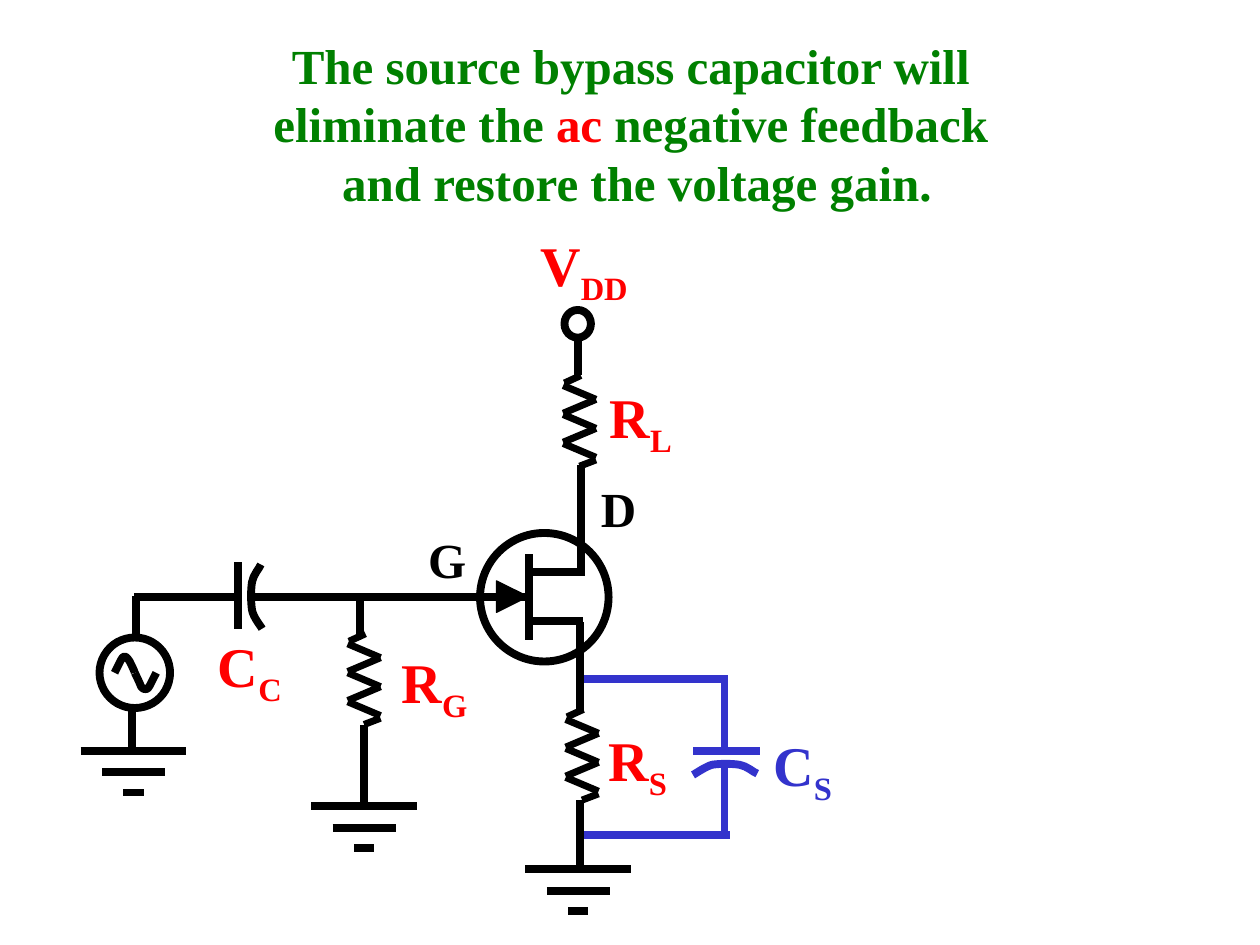
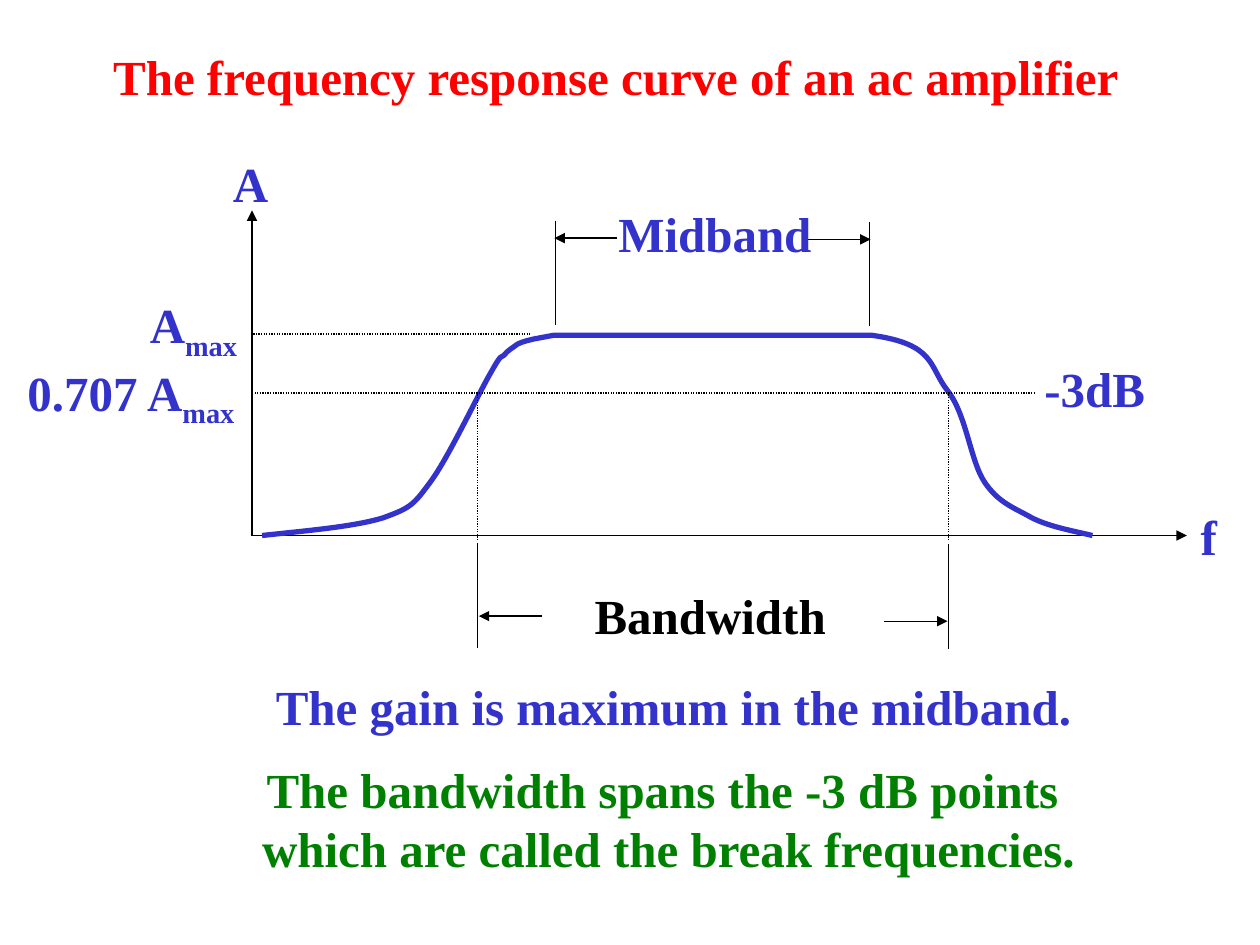
from pptx import Presentation
from pptx.dml.color import RGBColor
from pptx.enum.dml import MSO_LINE
from pptx.enum.shapes import MSO_CONNECTOR, MSO_SHAPE
from pptx.enum.text import MSO_AUTO_SIZE, PP_ALIGN
from pptx.oxml.ns import qn
from pptx.util import Pt
from lxml import etree

PX = 9144
BLACK, BLUE, RED, GREEN = "000000", "3333CC", "FF0000", "008000"
FONT = {"name": "Times New Roman", "bold": True}
FRAME = {"word_wrap": False, "auto_size": MSO_AUTO_SIZE.SHAPE_TO_FIT_TEXT}
THICK, ZIG, THIN = 4.5, 4, 0.75


def color(text):
    """Turn a hex string into a colour."""
    return RGBColor.from_string(text)


def assign(item, values):
    """Set attributes of an item from a dict."""
    for name, value in values.items():
        setattr(item, name, value)


def stroke(shape, hue, width):
    """Set the colour and width of an outline."""
    shape.line.color.rgb = color(hue)
    shape.line.width = Pt(width)


def line(slide, x1, y1, x2, y2, hue=BLACK, width=THICK, arrow=False, dots=False):
    """Draw a straight line, with an arrowhead or dots if asked."""
    ends = [value * PX for value in (x1, y1, x2, y2)]
    wire = slide.shapes.add_connector(MSO_CONNECTOR.STRAIGHT, *ends)
    stroke(wire, hue, width)
    if dots:
        wire.line.dash_style = MSO_LINE.ROUND_DOT
    if arrow:
        etree.SubElement(wire.line._get_or_add_ln(), qn("a:tailEnd"), type="triangle")
    etree.SubElement(wire._element.spPr, qn("a:effectLst"))


def lines(slide, rows, **style):
    """Draw several lines of one style."""
    for row in rows:
        line(slide, *row, **style)


def shape(slide, kind, x, y, w, h, fill=None, width=THICK):
    """Draw a preset shape with a black outline."""
    item = slide.shapes.add_shape(kind, x * PX, y * PX, w * PX, h * PX)
    item.shadow.inherit = False
    if fill:
        item.fill.solid()
        item.fill.fore_color.rgb = color(fill)
    else:
        item.fill.background()
    stroke(item, BLACK, width)
    return item


def curve(slide, start, rows, hue=BLACK, width=THICK):
    """Draw an open path: rows of three points bend, rows of one are straight."""
    pen = slide.shapes.build_freeform(*start, scale=PX)
    pen.add_line_segments([spot for row in rows for spot in row], close=False)
    item = pen.convert_to_shape()
    item.shadow.inherit = False
    item.fill.background()
    stroke(item, hue, width)
    steps = iter(list(item._element.iter(qn("a:lnTo"))))
    for row in rows:
        first, *rest = [next(steps) for _ in row]
        if rest:
            first.tag = qn("a:cubicBezTo")
        for step in rest:
            first.append(step[0])
            step.getparent().remove(step)


def text(slide, x, y, w, h, rows, hue, size=28, align=PP_ALIGN.LEFT):
    """Write paragraphs of (words, extra format) runs."""
    box = slide.shapes.add_textbox(x * PX, y * PX, w * PX, h * PX)
    frame = box.text_frame
    assign(frame, FRAME)
    for i, row in enumerate(rows):
        para = frame.add_paragraph() if i else frame.paragraphs[0]
        para.alignment = align
        for words, extra in row:
            run = para.add_run()
            run.text = words
            assign(run.font, {**FONT, "size": Pt(size)})
            run.font.color.rgb = color(extra.get("hue", hue))
            if "base" in extra:
                run.font._element.set("baseline", extra["base"])


def label(slide, x, y, w, h, words, sub="", hue=BLUE, size=28):
    """Write one line, with a subscript if given."""
    runs = [(words, {})]
    if sub:
        runs.append((sub, {"base": "-25000"}))
    text(slide, x, y, w, h, [runs], hue, size)


def resist(slide, x, y):
    """Draw a zigzag resistor from its top left corner."""
    zigs = [(x + 26, y + 19 + 23 * i, x, y + 8 + 23 * i) for i in range(3)]
    zags = [(x, y + 30 + 23 * i, x + 26, y + 19 + 23 * i) for i in range(2)]
    ends = [(x + 1, y + 6, x + 14, y), (x + 13, y + 72, x + 26, y + 67)]
    lines(slide, zigs + zags + ends, width=ZIG)


def ground(slide, x, y):
    """Draw three shrinking bars of a ground symbol."""
    for i in range(3):
        top = y + round(16.6 * i)
        line(slide, x + 17 * i, top, x + 84 - 17 * i, top)


def span(slide, left, right, top, tips):
    """Mark a range with two posts and two outward arrows."""
    lines(slide, [(left, top, left, top + 83), (right, top + 1, right, top + 84)],
          width=THIN)
    lines(slide, tips, width=THIN, arrow=True)


def circuit(slide):
    """Draw the amplifier with its source bypass capacitor."""
    lines(slide, [(460, 539, 578, 539), (460, 663, 579, 663), (550, 596, 603, 596),
                  (575, 662, 575, 609), (575, 594, 575, 541)], hue=BLUE)
    curve(slide, (550, 615), [[(552, 614), (559, 609), (565, 607)],
                              [(571, 606), (581, 606), (587, 607)],
                              [(593, 608), (598, 613), (601, 614)]], BLUE)
    lines(slide, [(420, 440, 420, 508), (419, 474, 197, 474), (421, 454, 464, 454),
                  (420, 493, 463, 493), (460, 537, 460, 494), (461, 453, 461, 369),
                  (189, 499, 189, 446), (459, 269, 459, 298), (460, 635, 460, 689),
                  (289, 575, 289, 639), (286, 474, 286, 505), (189, 474, 106, 474),
                  (108, 473, 108, 504), (105, 563, 105, 594), (460, 532, 460, 566)])
    curve(slide, (208, 499), [[(207, 497), (201, 490), (200, 484)],
                              [(199, 478), (199, 468), (200, 462)],
                              [(201, 456), (206, 451), (207, 448)]])
    for ring in ((381, 423, 102, 102), (448, 246, 21, 22), (79, 506, 56, 56)):
        shape(slide, MSO_SHAPE.OVAL, *ring)
    gate = shape(slide, MSO_SHAPE.ISOSCELES_TRIANGLE, 394, 461, 25, 25, BLACK, THIN)
    gate.rotation = 90
    curve(slide, (107, 534), [[(107, 533), (104, 527), (103, 525)],
                              [(101, 522), (100, 521), (99, 521)],
                              [(98, 521), (97, 522), (96, 524)],
                              [(95, 526), (92, 532), (91, 534)]])
    curve(slide, (124, 534), [[(123, 536), (120, 542), (119, 544)],
                              [(118, 546), (117, 547), (116, 547)],
                              [(114, 547), (114, 547), (112, 545)],
                              [(111, 542), (108, 536), (107, 534)]])
    for spot in ((276, 503), (447, 298), (449, 563)):
        resist(slide, *spot)
    for spot in ((64, 596), (247, 640), (417, 690)):
        ground(slide, *spot)
    label(slide, 467, 375, 48, 57, "D", hue=BLACK)
    label(slide, 330, 415, 50, 57, "G", hue=BLACK)
    for x, y, w, base, sub, hue in ((604, 575, 68, "C", "S", BLUE),
                                    (419, 178, 95, "V", "DD", RED),
                                    (309, 509, 72, "R", "G", RED),
                                    (163, 496, 72, "C", "C", RED),
                                    (474, 299, 75, "R", "L", RED),
                                    (473, 571, 68, "R", "S", RED)):
        label(slide, x, y, w, 71, base, sub, hue, 32)
    text(slide, 207, 23, 597, 150,
         [[("The source bypass capacitor will ", {})],
          [("eliminate the ", {}), ("ac", {"hue": RED}), (" negative feedback ", {})],
          [("and restore the voltage gain.", {})]], GREEN, align=PP_ALIGN.CENTER)


def response(slide):
    """Draw the frequency response curve with its bands."""
    lines(slide, [(200, 425, 200, 167), (200, 425, 942, 425)], width=THIN, arrow=True)
    curve(slide, (208, 425), [[(245, 421), (281, 418), (304, 411)],
                              [(326, 403), (328, 401), (342, 382)],
                              [(356, 363), (380, 312), (390, 295)],
                              [(399, 279), (397, 285), (400, 282)],
                              [(403, 278), (407, 276), (411, 273)],
                              [(415, 271), (420, 270), (424, 269)],
                              [(440, 266)], [(691, 266)],
                              [(743, 273), (737, 291), (752, 310)],
                              [(767, 329), (770, 365), (781, 382)],
                              [(792, 399), (805, 403), (819, 411)],
                              [(833, 418), (850, 421), (867, 425)]], BLUE, 3)
    lines(slide, [(200, 312, 822, 312), (199, 265, 421, 265), (379, 311, 379, 428),
                  (753, 311, 753, 428)], width=THIN, dots=True)
    span(slide, 379, 753, 431, [(702, 493, 752, 493), (430, 489, 380, 489)])
    span(slide, 441, 690, 175, [(641, 190, 691, 190), (490, 189, 440, 189)])
    label(slide, 80, 32, 819, 57, "The frequency response curve of an ac amplifier",
          hue=RED)
    label(slide, 12, 283, 186, 63, "0.707 A", "max")
    label(slide, 109, 229, 89, 63, "A", "max")
    label(slide, 462, 460, 205, 57, "Bandwidth", hue=BLACK)
    for x, y, w, words in ((175, 117, 48, "A"), (943, 397, 33, "f"),
                           (481, 157, 173, "Midband"), (819, 280, 100, "-3dB"),
                           (209, 532, 651, "The gain is maximum in the midband.")):
        label(slide, x, y, w, 57, words)
    text(slide, 197, 598, 667, 104,
         [[("The bandwidth spans the -3 dB points ", {})],
          [("which are called the break frequencies.", {})]],
         GREEN, align=PP_ALIGN.CENTER)


def main():
    """Build both slides and save the deck."""
    deck = Presentation()
    assign(deck, {"slide_width": 1000 * PX, "slide_height": 750 * PX})
    for draw in (circuit, response):
        draw(deck.slides.add_slide(deck.slide_layouts[6]))
    deck.save("out.pptx")


if __name__ == "__main__":
    main()
